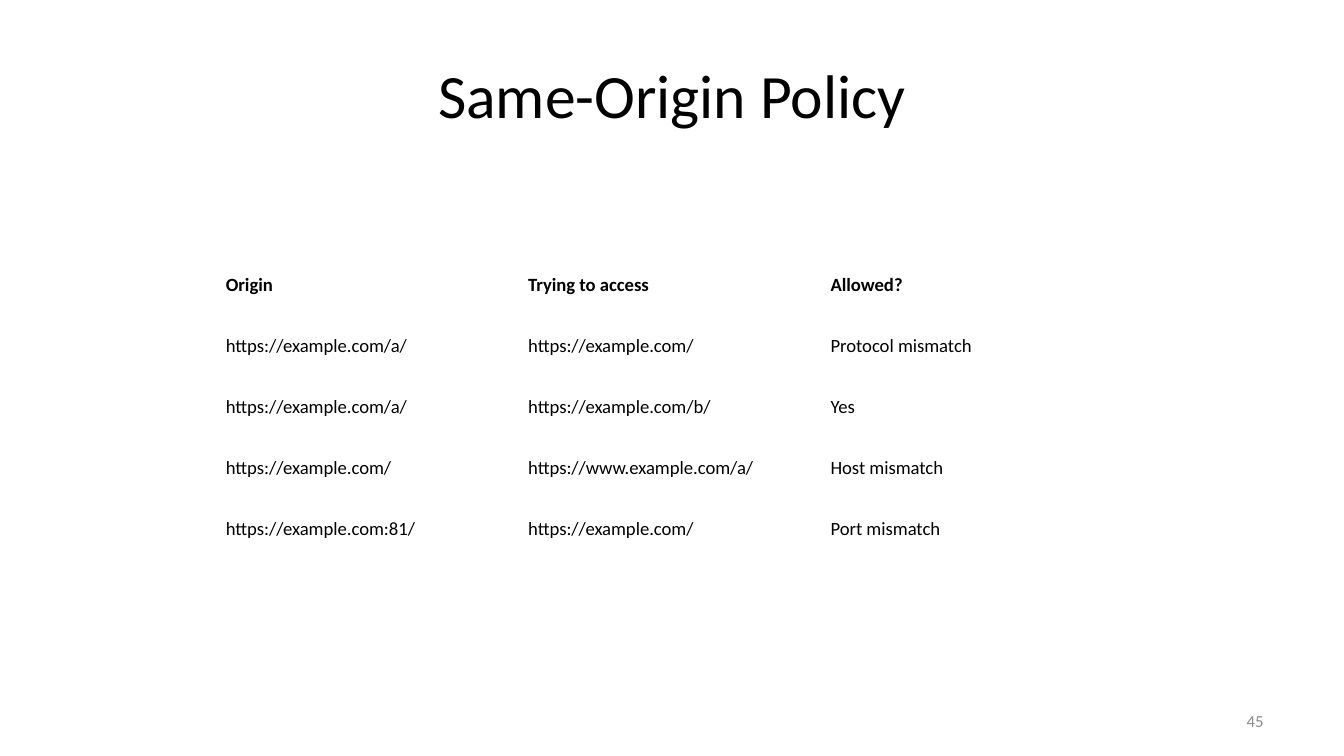
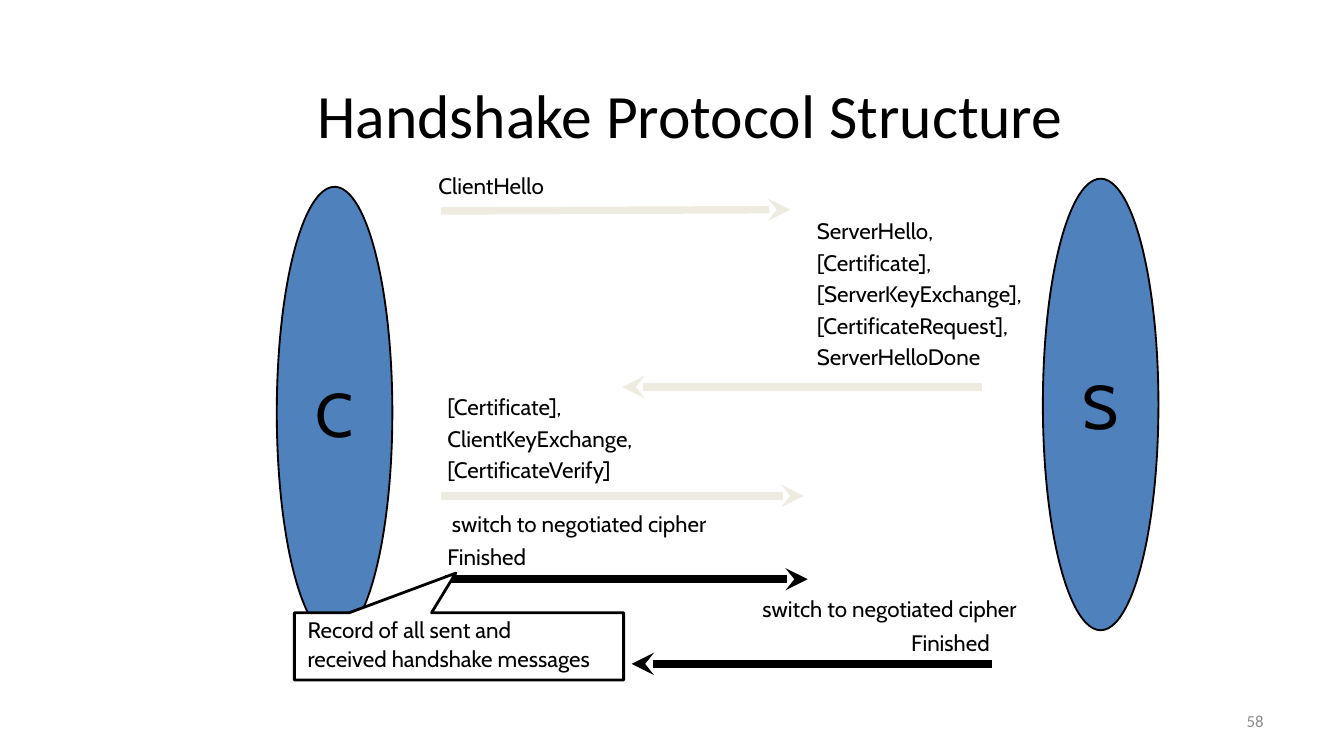
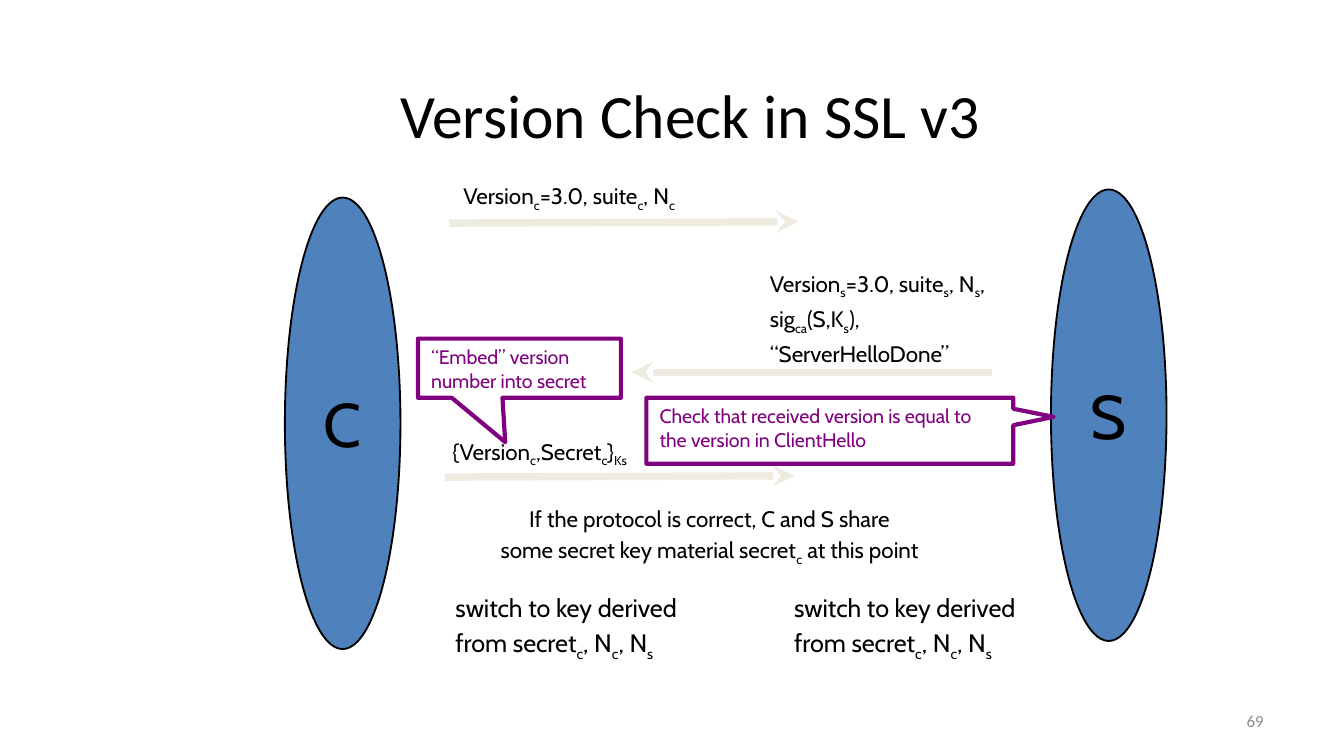
from lxml.etree import SubElement
from pptx import Presentation
from pptx.dml.color import RGBColor
from pptx.enum.shapes import MSO_CONNECTOR, MSO_SHAPE
from pptx.enum.text import MSO_ANCHOR, MSO_AUTO_SIZE, PP_ALIGN
from pptx.oxml.ns import qn
from pptx.util import Inches, Pt

WIDTH = Inches(10)
HEIGHT = WIDTH * 9 // 16
CELL = WIDTH / 100

BLACK, WHITE, GREY = "000000", "FFFFFF", "8C8C8C"
BLUE, PALE, PURPLE = "4F81BD", "EEECE1", "800080"
LEFT, CENTER, RIGHT = PP_ALIGN.LEFT, PP_ALIGN.CENTER, PP_ALIGN.RIGHT
TITLE = {"name": "Calibri", "size": 33, "color": BLACK}
NUMBER = {"name": "Calibri", "size": 9, "color": GREY}
TABLE = {"name": "Calibri", "size": 10, "color": BLACK}
PARTY = {"name": "Cabin", "size": 33, "color": BLACK}
MESSAGE = {"name": "Cabin", "size": 12, "color": BLACK}
SWITCH = {"name": "Cabin", "size": 13.5, "color": BLACK}
REMARK = {"name": "Cabin", "size": 10.5, "color": PURPLE}


def rgb(value):
    return RGBColor.from_string(value)


def grid(*cells):
    return [round(n * CELL) for n in cells]


def set_font(font, style):
    for key, value in style.items():
        if key == "color":
            font.color.rgb = rgb(value)
        else:
            setattr(font, key, Pt(value) if key == "size" else value)


def write(tf, lines, style, align=LEFT, spacing=None):
    for i, line in enumerate(lines):
        p = tf.paragraphs[0] if i == 0 else tf.add_paragraph()
        p.alignment = align
        p.space_before = Pt(style["size"] * 0.2 if i else 0)
        if spacing:
            p.line_spacing = spacing
        for j, part in enumerate(line.split("|")):
            if part:
                r = p.add_run()
                r.text = part
                set_font(r.font, style)
                if j % 2:
                    r._r.get_or_add_rPr().set("baseline", "-25000")


def add_label(s, box, lines, style=MESSAGE, align=LEFT):
    tf = s.shapes.add_textbox(*grid(*box)).text_frame
    tf.word_wrap = False
    tf.auto_size = MSO_AUTO_SIZE.SHAPE_TO_FIT_TEXT
    write(tf, lines, style, align)


def add_frame_text(s, box, text, style, align):
    tf = s.shapes.add_textbox(*grid(*box)).text_frame
    tf.word_wrap = True
    tf.vertical_anchor = MSO_ANCHOR.MIDDLE
    write(tf, [text], style, align)


def add_block(s, kind, box, fill, line, width):
    sp = s.shapes.add_shape(kind, *grid(*box))
    sp.shadow.inherit = False
    if fill:
        sp.fill.solid()
        sp.fill.fore_color.rgb = rgb(fill)
    else:
        sp.fill.background()
    sp.line.color.rgb = rgb(line)
    sp.line.width = Pt(width)
    return sp


def add_party(s, box, name):
    sp = add_block(s, MSO_SHAPE.OVAL, box, BLUE, BLACK, 1)
    tf = sp.text_frame
    tf.word_wrap = False
    tf.vertical_anchor = MSO_ANCHOR.MIDDLE
    write(tf, [name], PARTY, CENTER)


def add_callout(s, box, tip, lines, style, fill, line, width, spacing=None):
    sp = add_block(s, MSO_SHAPE.RECTANGULAR_CALLOUT, box, fill, line, width)
    for i, value in enumerate(tip):
        sp.adjustments[i] = value
    tf = sp.text_frame
    tf.word_wrap = True
    tf.vertical_anchor = MSO_ANCHOR.TOP
    write(tf, lines, style, spacing=spacing)


def add_arrow(s, start, end, color):
    line = s.shapes.add_connector(MSO_CONNECTOR.STRAIGHT, *grid(*start, *end))
    line.line.color.rgb = rgb(color)
    line.line.width = Pt(4)
    SubElement(line.line._get_or_add_ln(), qn("a:tailEnd"), type="stealth")
    SubElement(line._element.spPr, qn("a:effectLst"))


def add_slide(prs, title, title_box, number):
    s = prs.slides.add_slide(prs.slide_layouts[6])
    add_frame_text(s, title_box, title, TITLE, CENTER)
    add_frame_text(s, (71.7, 52.1, 23.3, 3), number, NUMBER, RIGHT)
    return s


def set_borders(cell, color, width):
    tc_pr = cell._tc.get_or_add_tcPr()
    for i, side in enumerate(("lnL", "lnR", "lnT", "lnB")):
        ln = SubElement(tc_pr, qn("a:" + side), w=str(Pt(width)))
        fill = SubElement(ln, qn("a:solidFill"))
        SubElement(fill, qn("a:srgbClr"), val=color)
        tc_pr.remove(ln)
        tc_pr.insert(i, ln)


def add_grid_table(s, box, rows):
    x, y, w, h = grid(*box)
    table = s.shapes.add_table(len(rows), len(rows[0]), x, y, w, h).table
    table.first_row = table.horz_banding = False
    margins = {"margin_left": 0.06, "margin_right": 0.06,
               "margin_top": 0.04, "margin_bottom": 0.04}
    for i, row in enumerate(rows):
        for j, text in enumerate(row):
            cell = table.cell(i, j)
            cell.fill.background()
            for key, value in margins.items():
                setattr(cell, key, Inches(value))
            set_borders(cell, WHITE, 1)
            write(cell.text_frame, [text], {**TABLE, "bold": i == 0})


def add_exchange(s, box, arrows, labels, callouts):
    x, y, w, h = box
    oval_w, oval_h, drop = 8.6, h - 0.6, 0.6

    def place(left, top, *size):
        return (x + left, y + top, *size)

    add_party(s, (x, y + drop, oval_w, oval_h), "C")
    add_party(s, (x + w - oval_w, y, oval_w, oval_h), "S")
    for start, end, color in arrows:
        add_arrow(s, place(*start), place(*end), color)
    for spot, *rest in labels:
        add_label(s, place(*spot), *rest)
    for spot, *rest in callouts:
        add_callout(s, place(*spot), *rest)


def origin_slide(prs):
    s = add_slide(prs, "Same-Origin Policy", (5, 2.3, 90, 9.4), "45")
    add_grid_table(s, (16.2, 20, 67.5, 22.7), [
        ("Origin", "Trying to access", "Allowed?"),
        ("https://example.com/a/", "https://example.com/", "Protocol mismatch"),
        ("https://example.com/a/", "https://example.com/b/", "Yes"),
        ("https://example.com/", "https://www.example.com/a/", "Host mismatch"),
        ("https://example.com:81/", "https://example.com/", "Port mismatch"),
    ])


def handshake_slide(prs):
    s = add_slide(prs, "Handshake Protocol Structure", (20.6, 3.8, 61.5, 9.4), "58")
    arrows = [
        ((12.2, 2.4), (38.2, 2.3), PALE),
        ((52.5, 15.5), (25.7, 15.5), PALE),
        ((12.2, 23.6), (39.2, 23.6), PALE),
        ((12.5, 29.8), (39.5, 29.8), BLACK),
        ((53.2, 36.1), (26.4, 36.1), BLACK),
    ]
    cipher = ["switch to negotiated cipher"]
    labels = [
        ((11, -1, 9.9, 3), ["ClientHello"], MESSAGE, CENTER),
        ((39.2, 2.4, 18.4, 12.7), ["ServerHello,", "[Certificate],", "[ServerKeyExchange],",
                                   "[CertificateRequest],", "ServerHelloDone"]),
        ((11.7, 15.5, 16.5, 7.7), ["[Certificate],", "ClientKeyExchange,",
                                   "[CertificateVerify]"]),
        ((11.4, 24.2, 22.2, 3), cipher, MESSAGE, CENTER),
        ((11.7, 26.6, 8.1, 3), ["Finished"]),
        ((34.5, 30.5, 22.2, 3), cipher, MESSAGE, CENTER),
        ((46.2, 33, 8.1, 3), ["Finished"]),
    ]
    callouts = [
        ((1.3, 32.3, 24.5, 5), (-0.01, -1.09),
         ["Record of all sent and", "received handshake messages"],
         MESSAGE, WHITE, BLACK, 1.5, 0.9),
    ]
    add_exchange(s, (20.6, 13.3, 65.6, 34.2), arrows, labels, callouts)


def version_slide(prs):
    s = add_slide(prs, "Version Check in SSL v3", (20.6, 3.8, 61.5, 9.4), "69")
    arrows = [
        ((12.2, 2.5), (38.2, 2.4), PALE),
        ((52.6, 13.6), (25.8, 13.6), PALE),
        ((11.9, 21.4), (37.9, 21.3), PALE),
    ]
    derived = ["switch to key derived", "from secret|c|, N|c|, N|s"]
    labels = [
        ((11.5, -1, 19.3, 3), ["Version|c|=3.0, suite|c|, N|c"], MESSAGE, CENTER),
        ((35.1, 5.5, 19.8, 7.9), ["Version|s|=3.0, suite|s|, N|s|,", "sig|ca|(S,K|s|),",
                                  "“ServerHelloDone”"]),
        ((10.7, 18, 16.5, 3), ["{Version|c|,Secret|c|}|Ks"], MESSAGE, CENTER),
        ((13.8, 23, 35.6, 5.5), ["If the protocol is correct, C and S share",
                                 "some secret key material secret|c| at this point"],
         MESSAGE, CENTER),
        ((11.7, 29.5, 19.8, 6), derived, SWITCH),
        ((36.9, 29.5, 19.8, 6), derived, SWITCH),
    ]
    callouts = [
        ((9.9, 11.1, 15.1, 4.4), (-0.07, 1.25),
         ["“Embed” version number into secret"], REMARK, None, PURPLE, 2.25),
        ((26.9, 15.5, 27.3, 4.9), (0.61, -0.21),
         ["Check that received version is equal to the version in ClientHello"],
         REMARK, None, PURPLE, 2.25),
    ]
    add_exchange(s, (21.2, 14.1, 65.6, 34.2), arrows, labels, callouts)


def main():
    prs = Presentation()
    prs.slide_width, prs.slide_height = WIDTH, HEIGHT
    for build in (origin_slide, handshake_slide, version_slide):
        build(prs)
    prs.save("out.pptx")


if __name__ == "__main__":
    main()
